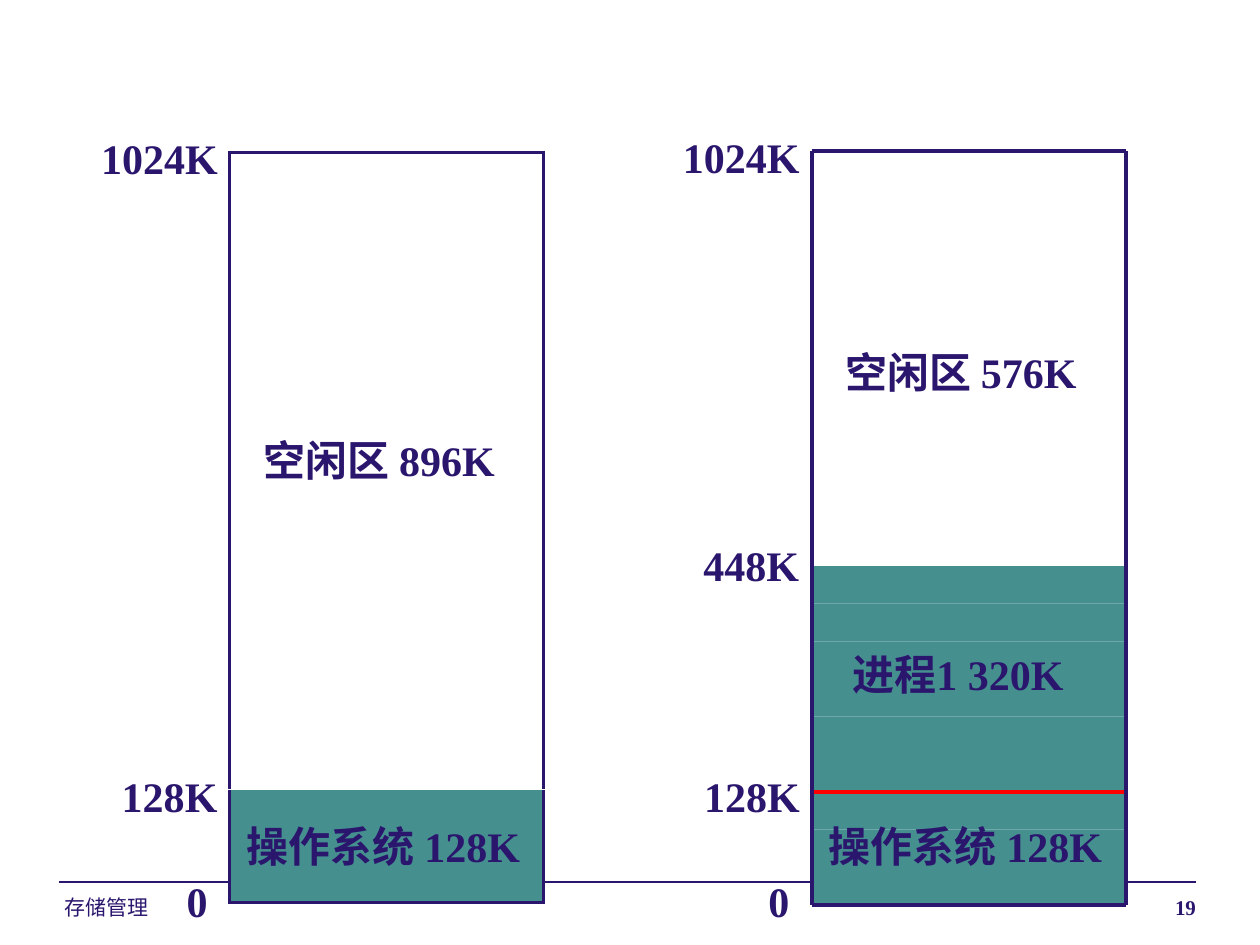
import dataclasses

import lxml.etree
import pptx
import pptx.dml.color
import pptx.enum.shapes
import pptx.enum.text
import pptx.oxml.ns
import pptx.util

Pt = pptx.util.Pt
qn = pptx.oxml.ns.qn
sub = lxml.etree.SubElement


@dataclasses.dataclass
class Theme:
    ink: str = "2B166E"
    used: str = "458F8F"
    mark: str = "FF0000"
    paper: str = "FFFFFF"
    body: int = 24
    small: int = 12
    serif: str = "Times New Roman"
    sans: str = "Arial"
    thick: float = 2.25
    thin: float = 0.75


def rgb(code):
    return pptx.dml.color.RGBColor.from_string(code)


class Page:
    def __init__(self, slide, theme):
        self.slide = slide
        self.theme = theme
        self.shapes = slide.shapes

    def group(self):
        """Put the elements that follow into a new group."""
        self.shapes = self.slide.shapes.add_group_shape().shapes

    def text(self, words, x, y, w, h=36, size=None, face=None, bold=True,
             wrap=True, right=False):
        box = self.shapes.add_textbox(Pt(x), Pt(y), Pt(w), Pt(h))
        frame = box.text_frame
        frame.text = words
        frame.word_wrap = wrap
        if not size:
            frame.auto_size = pptx.enum.text.MSO_AUTO_SIZE.SHAPE_TO_FIT_TEXT
        para = frame.paragraphs[0]
        if right:
            para.alignment = pptx.enum.text.PP_ALIGN.RIGHT
        font = para.runs[0].font
        font.size = Pt(size or self.theme.body)
        font.name = face or self.theme.serif
        font.bold = bold
        font.color.rgb = rgb(self.theme.ink)

    def line(self, x1, y1, x2, y2, color=None, width=None):
        kind = pptx.enum.shapes.MSO_CONNECTOR.STRAIGHT
        line = self.shapes.add_connector(kind, Pt(x1), Pt(y1), Pt(x2), Pt(y2))
        line.line.color.rgb = rgb(color or self.theme.ink)
        line.line.width = Pt(width or self.theme.thick)
        sub(line._element.spPr, qn("a:effectLst"))

    def block(self, x, y, w, h):
        kind = pptx.enum.shapes.MSO_SHAPE.RECTANGLE
        rect = self.shapes.add_shape(kind, Pt(x), Pt(y), Pt(w), Pt(h))
        rect.shadow.inherit = False
        rect.fill.solid()
        rect.fill.fore_color.rgb = rgb(self.theme.used)
        rect.line.fill.background()

    def edge(self, cell, side, color=None, width=0):
        props = cell._tc.get_or_add_tcPr()
        line = sub(props, qn("a:ln" + side), w=str(int(Pt(width))))
        if color:
            fill = sub(line, qn("a:solidFill"))
            sub(fill, qn("a:srgbClr"), val=color)
        else:
            sub(line, qn("a:noFill"))

    def stack(self, x, y, w, rows, full):
        """Draw a one-column table whose last `full` rows are in use."""
        t = self.theme
        count = len(rows)
        frame = self.shapes.add_table(count, 1, Pt(x), Pt(y), Pt(w), Pt(sum(rows)))
        table = frame.table
        table.first_row = table.horz_banding = False
        split = count - full
        outer = (t.ink, t.thick)
        seam = (t.paper, 1)
        tops = {0: outer, split: seam}
        ends = {split - 1: seam, count - 1: outer}
        for i, high in enumerate(rows):
            table.rows[i].height = Pt(high)
            cell = table.cell(i, 0)
            cell.margin_top = cell.margin_bottom = 0
            para = cell.text_frame.paragraphs[0]
            sub(para._p, qn("a:endParaRPr"), sz="800")
            self.edge(cell, "L", *outer)
            self.edge(cell, "R", *outer)
            self.edge(cell, "T", *tops.get(i, ()))
            self.edge(cell, "B", *ends.get(i, ()))
            if i < split:
                cell.fill.background()
            else:
                cell.fill.solid()
                cell.fill.fore_color.rgb = rgb(t.used)

    def marks(self, items):
        """Write the address labels, given as words, x, y and width."""
        for item in items:
            self.text(*item, wrap=False)


def main():
    deck = pptx.Presentation()
    deck.slide_width, deck.slide_height = Pt(720), Pt(540)
    theme = Theme()
    page = Page(deck.slides.add_slide(deck.slide_layouts[6]), theme)

    # Footer
    page.line(34, 504, 683.5, 504, width=theme.thin)
    page.text("存储管理", 30, 507.5, 168, 17.5, theme.small, theme.sans, False)
    page.text("19", 462, 507.5, 228.5, 17.5, theme.small, right=True)

    # Memory before loading
    step, wide = 21.5, 179.5
    page.stack(131.2, 87, wide, [step] * 16 + [step - 1] + [step] * 3, 3)
    page.text("操作系统 128K", 134, 465.5, 186)
    page.marks([("0", 99.5, 497, 26.5), ("1024K", 50.7, 72, 81),
                ("128K", 62.5, 437, 69)])
    page.text("空闲区 896K", 143.5, 245, 162.5)

    # Memory with process 1: used blocks, then frame
    page.group()
    left, top, base = 464, 86.5, 517
    edge = left + wide
    for i in range(1, 10):
        page.block(left, base - i * step, wide, step)
    page.line(left, top, edge, top)
    page.line(left, base - 3 * step, edge, base - 3 * step, theme.mark)
    page.line(left, base, edge, base)
    for x in (left, edge):
        page.line(x, top, x, base)

    # Names and addresses of its areas
    page.text("操作系统 128K", 466.5, 465.3, 188)
    page.marks([("0", 432, 497, 26.5), ("1024K", 383.2, 71.5, 81),
                ("128K", 395.3, 436.5, 69), ("448K", 394.8, 304.5, 69)])
    page.text("空闲区 576K", 476, 194.5, 162.5)
    page.text("进程1 320K", 480, 367, 158.5)

    deck.save("out.pptx")


if __name__ == "__main__":
    main()
